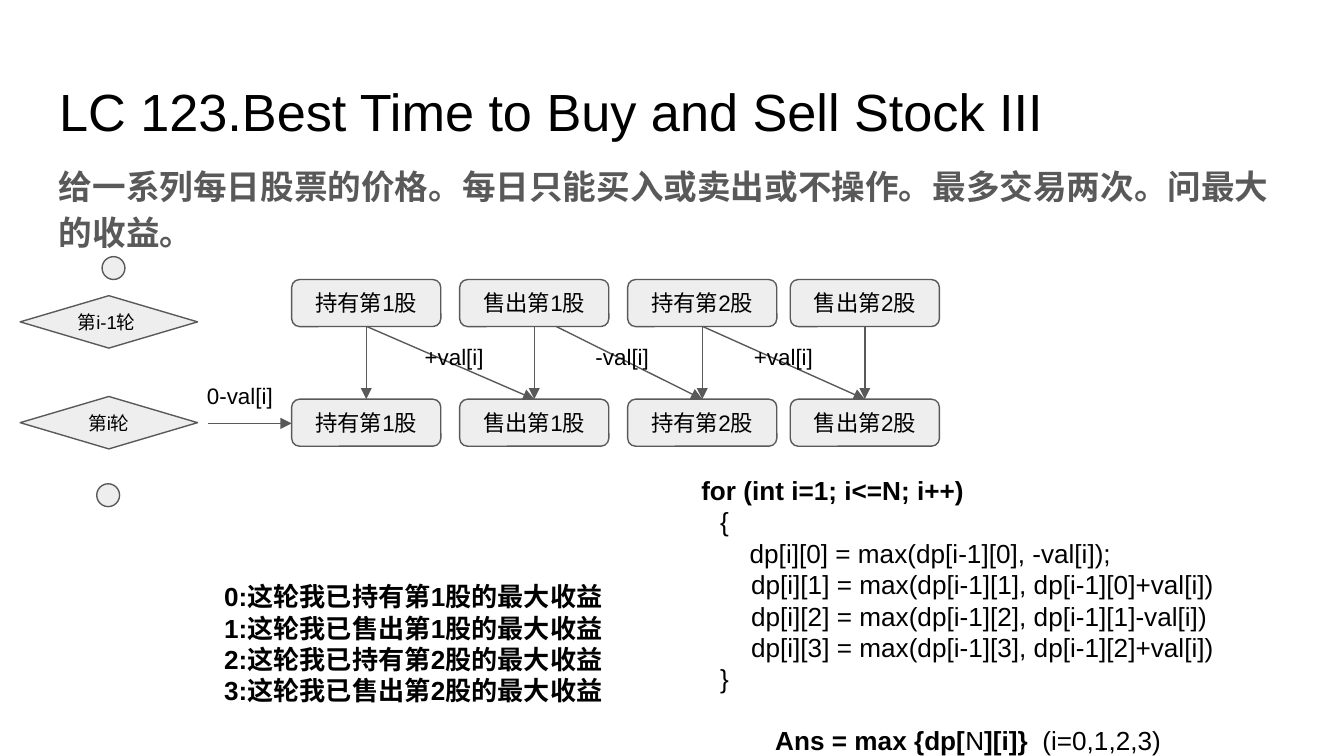
from lxml import etree
from pptx import Presentation
from pptx.dml.color import RGBColor
from pptx.enum.shapes import MSO_CONNECTOR, MSO_SHAPE
from pptx.enum.text import MSO_ANCHOR, MSO_AUTO_SIZE, PP_ALIGN
from pptx.oxml.ns import qn
from pptx.util import Inches, Pt

BLACK = RGBColor(0x00, 0x00, 0x00)
GREY = RGBColor(0x59, 0x59, 0x59)
PALE = RGBColor(0xEE, 0xEE, 0xEE)
LEFT, CENTER = PP_ALIGN.LEFT, PP_ALIGN.CENTER
TOP, MIDDLE = MSO_ANCHOR.TOP, MSO_ANCHOR.MIDDLE
ROUND = MSO_SHAPE.ROUNDED_RECTANGLE
DIAMOND = MSO_SHAPE.FLOWCHART_DECISION
DOT = MSO_SHAPE.FLOWCHART_CONNECTOR
STRAIGHT = MSO_CONNECTOR.STRAIGHT
NO_FIT = MSO_AUTO_SIZE.NONE

STATES = ["持有第1股", "售出第1股", "持有第2股", "售出第2股"]
COLS = [2.17, 3.42, 4.67, 5.88]
ROWS = [2.08, 2.97]
BOX_W, BOX_H = 1.11, 0.35
# Label, its left edge and the start of the slanted arrow
TRADES = [("+val[i]", 3.05, 2.73), ("-val[i]", 4.3, 4.14), ("+val[i]", 5.5, 5.23)]
ROUNDS = [("第i-1轮", 2.2, LEFT), ("第i轮", 2.95, CENTER)]
NOTES = ["0:这轮我已持有第1股的最大收益", "1:这轮我已售出第1股的最大收益",
         "2:这轮我已持有第2股的最大收益", "3:这轮我已售出第2股的最大收益"]
# Indent in inches and line of code
CODE = [
    (0.5, "for (int i=1; i<=N; i++)"),
    (0.64, "{"),
    (0.86, "dp[i][0] = max(dp[i-1][0], -val[i]);"),
    (0.87, "dp[i][1] = max(dp[i-1][1], dp[i-1][0]+val[i])"),
    (0.87, "dp[i][2] = max(dp[i-1][2], dp[i-1][1]-val[i])"),
    (0.87, "dp[i][3] = max(dp[i-1][3], dp[i-1][2]+val[i])"),
    (0.64, "}"),
]
ANSWER = [("Ans = max {dp[", True), ("N", False), ("][i]}", True), ("  (i=0,1,2,3)", False)]


def set_frame(frame, anchor=TOP):
    frame.word_wrap = True
    frame.auto_size = NO_FIT
    frame.vertical_anchor = anchor
    frame.margin_left = frame.margin_right = Inches(0.1)
    frame.margin_top = frame.margin_bottom = Inches(0.1)


def style(para, size, bold=False, color=BLACK, align=LEFT, indent=0):
    para.alignment = align
    font = para.font
    font.name, font.size, font.bold = "Arial", Pt(size), bold
    font.color.rgb = color
    if indent:
        props = para._p.get_or_add_pPr()
        props.set("marL", str(Inches(indent)))
        props.set("indent", "0")


def add_text(slide, left, top, width, height, lines, size, **look):
    """Add a text box; lines are (indent, text) pairs."""
    box = slide.shapes.add_textbox(*map(Inches, (left, top, width, height)))
    frame = box.text_frame
    set_frame(frame)
    for i, (indent, text) in enumerate(lines):
        para = frame.paragraphs[0] if i == 0 else frame.add_paragraph()
        para.text = text
        style(para, size, indent=indent, **look)
    return frame


def add_node(slide, kind, left, top, width, height, text="", size=12, align=CENTER):
    node = slide.shapes.add_shape(kind, *map(Inches, (left, top, width, height)))
    node.shadow.inherit = False
    node.fill.solid()
    node.fill.fore_color.rgb = PALE
    node.line.color.rgb = GREY
    node.line.width = Pt(0.75)
    if text:
        set_frame(node.text_frame, MIDDLE)
        para = node.text_frame.paragraphs[0]
        para.text = text
        style(para, size, align=align)


def add_arrow(slide, x1, y1, x2, y2):
    arrow = slide.shapes.add_connector(STRAIGHT, *map(Inches, (x1, y1, x2, y2)))
    arrow.line.color.rgb = GREY
    arrow.line.width = Pt(0.75)
    props = arrow._element.spPr
    etree.SubElement(props.find(qn("a:ln")), qn("a:tailEnd"), type="triangle")
    etree.SubElement(props, qn("a:effectLst"))


def add_title(slide, text):
    title = slide.shapes.title
    title.left, title.top = Inches(0.34), Inches(0.49)
    title.width, title.height = Inches(9.32), Inches(0.63)
    title.text = text
    set_frame(title.text_frame)
    style(title.text_frame.paragraphs[0], 28)


def add_code(slide):
    frame = add_text(slide, 4.62, 3.43, 5, 2.22, CODE, 14)
    frame.paragraphs[0].font.bold = True
    para = frame.add_paragraph()
    style(para, 14, indent=1.05)
    para.space_before = Pt(16)
    for text, bold in ANSWER:
        run = para.add_run()
        run.text = text
        run.font.bold = bold


def add_states(slide):
    """Draw both rows of states and the moves between them."""
    start, end = ROWS[0] + BOX_H, ROWS[1]
    mids = [left + BOX_W / 2 for left in COLS]
    for left, mid, text in zip(COLS, mids, STATES):
        for top in ROWS:
            add_node(slide, ROUND, left, top, BOX_W, BOX_H, text)
        add_arrow(slide, mid, start, mid, end)
    for (text, left, tail), head in zip(TRADES, mids[1:]):
        add_arrow(slide, tail, start, head, end)
        add_text(slide, left, 2.45, 0.66, 0.35, [(0, text)], 12, align=CENTER)


def add_rounds(slide):
    for text, top, align in ROUNDS:
        add_node(slide, DIAMOND, 0.15, top, 1.32, 0.39, text, 10, align)
    for left, top in [(0.76, 1.91), (0.72, 3.6)]:
        add_node(slide, DOT, left, top, 0.17, 0.17)
    add_text(slide, 1.42, 2.74, 0.73, 0.35, [(0, "0-val[i]")], 12, align=CENTER)
    add_arrow(slide, 1.55, 3.15, COLS[0], 3.15)


def main():
    deck = Presentation()
    deck.slide_width = Inches(10)
    deck.slide_height = deck.slide_width * 9 // 16
    slide = deck.slides.add_slide(deck.slide_layouts[5])
    add_title(slide, "LC 123.Best Time to Buy and Sell Stock III")
    task = "给一系列每日股票的价格。每日只能买入或卖出或不操作。最多交易两次。问最大的收益。"
    frame = add_text(slide, 0.34, 1.09, 9.32, 0.82, [(0, task)], 18, bold=True, color=GREY)
    frame.paragraphs[0].line_spacing = 1.15
    add_code(slide)
    add_states(slide)
    add_rounds(slide)
    add_text(slide, 1.07, 4.22, 3.93, 1.35, [(0.5, note) for note in NOTES], 14, bold=True)
    deck.save("out.pptx")


if __name__ == "__main__":
    main()
